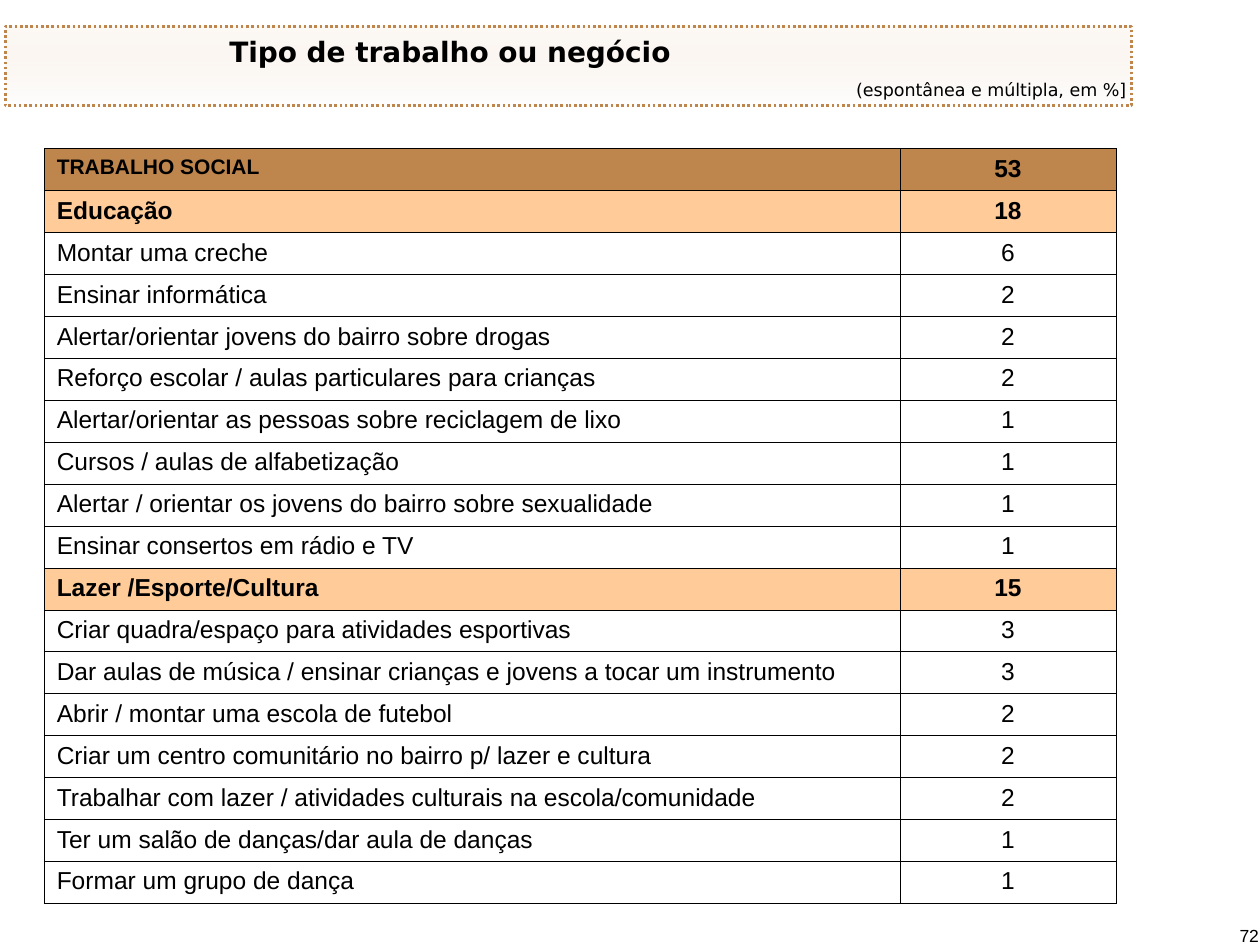
from dataclasses import dataclass

from lxml import etree
from pptx import Presentation
from pptx import util as u
from pptx.dml.color import RGBColor
from pptx.enum import dml, shapes, text
from pptx.oxml import ns

Pt = u.Pt


@dataclass(frozen=True)
class Theme:
    ink: str = "000000"
    brown: str = "BE854C"
    peach: str = "FFCC99"
    banner_top: str = "E6C29F"
    banner_bottom: str = "FEFEFE"
    title_font: str = "DejaVu Sans"
    body_font: str = "Arial"
    title_size: int = 16
    body_size: int = 14
    total_size: int = 12
    small_size: int = 10


THEME = Theme()
ROW_HEIGHT = 23.96
COLUMN_WIDTHS = (489, 123.5)

# Label, percentage, row fill (filled rows are bold totals)
ROWS = [
    ("TRABALHO SOCIAL", 53, THEME.brown),
    ("Educação", 18, THEME.peach),
    ("Montar uma creche", 6, None),
    ("Ensinar informática", 2, None),
    ("Alertar/orientar jovens do bairro sobre drogas", 2, None),
    ("Reforço escolar / aulas particulares para crianças", 2, None),
    ("Alertar/orientar as pessoas sobre reciclagem de lixo", 1, None),
    ("Cursos / aulas de alfabetização", 1, None),
    ("Alertar / orientar os jovens do bairro sobre sexualidade", 1, None),
    ("Ensinar consertos em rádio e TV", 1, None),
    ("Lazer /Esporte/Cultura", 15, THEME.peach),
    ("Criar quadra/espaço para atividades esportivas", 3, None),
    ("Dar aulas de música / ensinar crianças e jovens a tocar um instrumento", 3, None),
    ("Abrir / montar uma escola de futebol", 2, None),
    ("Criar um centro comunitário no bairro p/ lazer e cultura", 2, None),
    ("Trabalhar com lazer / atividades culturais na escola/comunidade", 2, None),
    ("Ter um salão de danças/dar aula de danças", 1, None),
    ("Formar um grupo de dança", 1, None),
]


def rgb(value):
    return RGBColor.from_string(value)


def write(p, content, font, size, bold=False, align=text.PP_ALIGN.LEFT):
    p.text = content
    p.alignment = align
    f = p.font
    f.name, f.size, f.bold = font, Pt(size), bold
    f.color.rgb = rgb(THEME.ink)


def add_banner(s):
    sp = s.shapes.add_shape(shapes.MSO_SHAPE.RECTANGLE, Pt(3), Pt(15), Pt(643.5), Pt(45.5))
    sp.shadow.inherit = False
    sp.line.color.rgb = rgb(THEME.brown)
    sp.line.width = Pt(1.5)
    sp.line.dash_style = dml.MSO_LINE.ROUND_DOT
    sp.fill.gradient()
    sp.fill.gradient_angle = 270
    stops = ((THEME.banner_top, 10), (THEME.banner_bottom, 40))
    for stop, (color, opacity) in zip(sp.fill.gradient_stops, stops):
        stop.color.rgb = rgb(color)
    colors = sp._element.spPr.iter(ns.qn("a:srgbClr"))
    for node, (color, opacity) in zip(colors, stops):
        etree.SubElement(node, ns.qn("a:alpha"), val=str(opacity * 1000))
    # Keep the banner behind the title
    s.shapes._spTree.insert(2, sp._element)


def set_title(s, title, note):
    sp = s.shapes.title
    sp.left, sp.top, sp.width, sp.height = Pt(11.5), Pt(16), Pt(632), Pt(42.5)
    tf = sp.text_frame
    tf.auto_size = text.MSO_AUTO_SIZE.NONE
    tf.word_wrap = True
    tf.vertical_anchor = text.MSO_ANCHOR.TOP
    tf.margin_left = tf.margin_right = tf.margin_bottom = 0
    tf.margin_top = Pt(4)
    p = tf.paragraphs[0]
    write(p, title, THEME.title_font, THEME.title_size, bold=True)
    p._p.get_or_add_pPr().set("marL", str(Pt(119.5)))
    p = tf.add_paragraph()
    write(p, note, THEME.title_font, THEME.small_size, align=text.PP_ALIGN.RIGHT)
    p.space_before = Pt(6.2)


def add_borders(cell):
    tcPr = cell._tc.get_or_add_tcPr()
    for i, side in enumerate(("a:lnL", "a:lnR", "a:lnT", "a:lnB")):
        ln = etree.Element(ns.qn(side), w=str(Pt(0.45)))
        fill = etree.SubElement(ln, ns.qn("a:solidFill"))
        etree.SubElement(fill, ns.qn("a:srgbClr"), val=THEME.ink)
        tcPr.insert(i, ln)


def style_cell(cell, content, size, fill, align):
    cell.vertical_anchor = text.MSO_ANCHOR.TOP
    if fill:
        cell.fill.solid()
        cell.fill.fore_color.rgb = rgb(fill)
    else:
        cell.fill.background()
    write(cell.text_frame.paragraphs[0], content, THEME.body_font, size, bool(fill), align)
    add_borders(cell)


def add_answers_table(s):
    frame = s.shapes.add_table(len(ROWS), len(COLUMN_WIDTHS), Pt(25.25), Pt(85),
                               Pt(sum(COLUMN_WIDTHS)), Pt(ROW_HEIGHT * len(ROWS)))
    table = frame.table
    table.first_row = table.horz_banding = False
    for column, width in zip(table.columns, COLUMN_WIDTHS):
        column.width = Pt(width)
    for i, (label, value, fill) in enumerate(ROWS):
        table.rows[i].height = Pt(ROW_HEIGHT)
        label_size = THEME.total_size if i == 0 else THEME.body_size
        style_cell(table.cell(i, 0), label, label_size, fill, text.PP_ALIGN.LEFT)
        style_cell(table.cell(i, 1), str(value), THEME.body_size, fill, text.PP_ALIGN.CENTER)


def add_page_number(s, number):
    sp = s.shapes.add_textbox(Pt(558.75), Pt(525), Pt(167.75), Pt(37.5))
    tf = sp.text_frame
    tf.word_wrap = True
    write(tf.paragraphs[0], number, THEME.body_font, THEME.small_size,
          align=text.PP_ALIGN.RIGHT)


def main():
    prs = Presentation()
    prs.slide_width, prs.slide_height = Pt(720), Pt(540)
    s = prs.slides.add_slide(prs.slide_layouts[5])
    # Header
    add_banner(s)
    set_title(s, "Tipo de trabalho ou negócio", "(espontânea e múltipla, em %]")
    # Body and footer
    add_answers_table(s)
    add_page_number(s, "72")
    prs.save("out.pptx")


if __name__ == "__main__":
    main()
